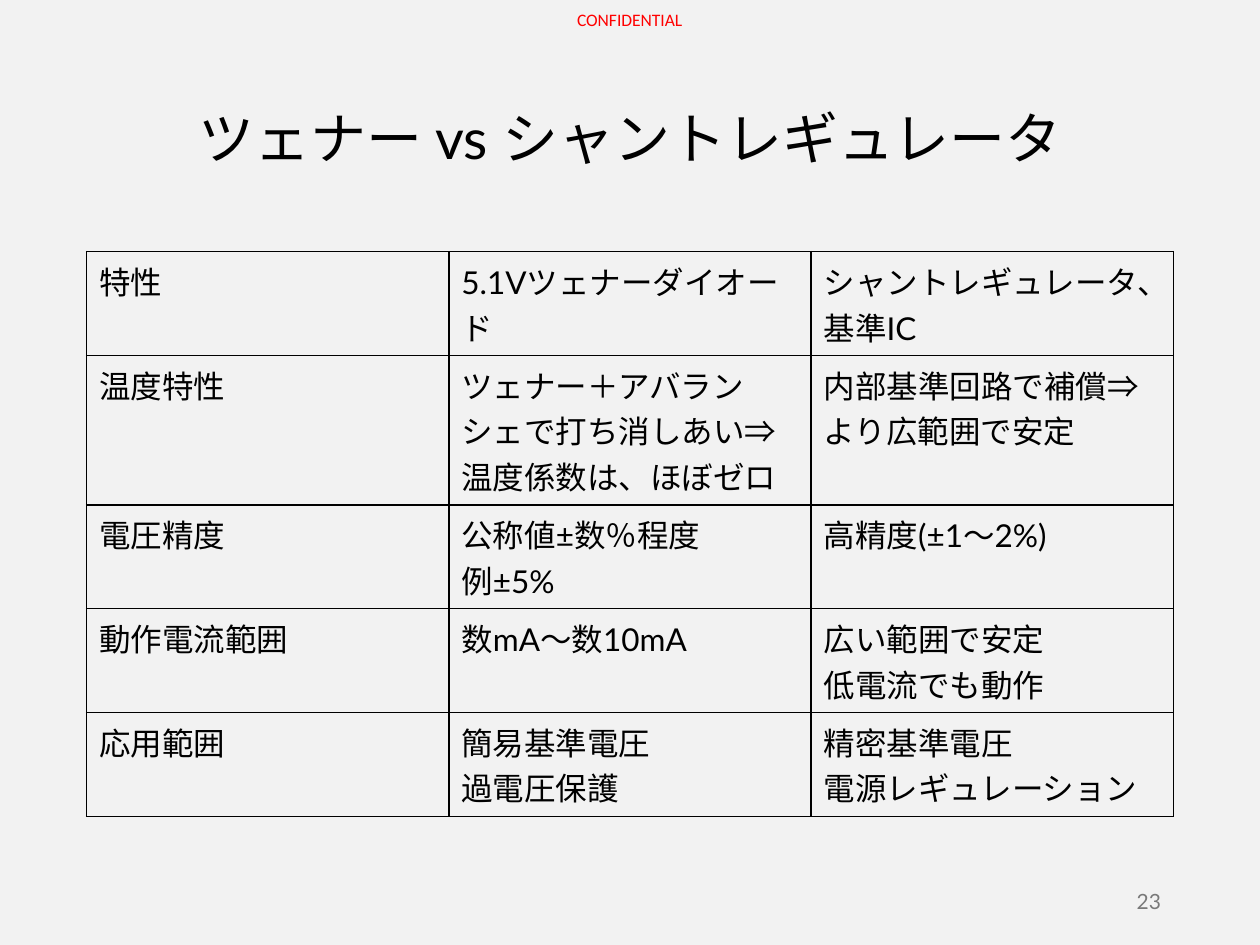
from dataclasses import dataclass

from lxml import etree
from pptx import Presentation
from pptx import util as u
from pptx.dml.color import RGBColor
from pptx.enum import text as t
from pptx.oxml import ns

HUES = {"back": "F2F2F2", "ink": "000000", "alert": "FF0000", "page": "797979"}
ROWS = [
    ("特性", "5.1Vツェナーダイオード", "シャントレギュレータ、基準IC"),
    ("温度特性", "ツェナー＋アバランシェで打ち消しあい⇒温度係数は、ほぼゼロ",
     "内部基準回路で補償⇒より広範囲で安定"),
    ("電圧精度", "公称値±数％程度\n例±5%", "高精度(±1～2%)"),
    ("動作電流範囲", "数mA～数10mA", "広い範囲で安定\n低電流でも動作"),
    ("応用範囲", "簡易基準電圧\n過電圧保護", "精密基準電圧\n電源レギュレーション"),
]
LEFT, WIDTH = 49.5, 621


@dataclass
class Style:
    size: float
    hue: str = "ink"
    face: str = "Lato"
    align: t.PP_ALIGN = t.PP_ALIGN.LEFT


@dataclass
class Label:
    words: str
    left: float
    top: float
    width: float
    height: float
    style: Style
    pad: tuple[float, float] = (7.2, 3.6)
    wrap: bool = True


LABELS = [
    Label("CONFIDENTIAL", 329.75, 5, 62.5, 12.2,
          Style(10, "alert", "Calibri"), (0, 0), False),
    Label("23", 508.5, 500.5, 162, 28.75,
          Style(12, "page", align=t.PP_ALIGN.RIGHT)),
]


def color(hue: str) -> RGBColor:
    return RGBColor.from_string(HUES[hue])


def write(frame, words: str, style: Style) -> None:
    for i, line in enumerate(words.split("\n")):
        para = frame.add_paragraph() if i else frame.paragraphs[0]
        para.alignment = style.align
        run = para.add_run()
        run.text = line
        run.font.size = u.Pt(style.size)
        run.font.name = style.face
        run.font.bold = False
        run.font.color.rgb = color(style.hue)


def place(shape, left: float, top: float, width: float, height: float) -> None:
    shape.left, shape.top = u.Pt(left), u.Pt(top)
    shape.width, shape.height = u.Pt(width), u.Pt(height)


def draw_label(slide, label: Label) -> None:
    spot = [u.Pt(n) for n in (label.left, label.top, label.width, label.height)]
    frame = slide.shapes.add_textbox(*spot).text_frame
    frame.word_wrap = label.wrap
    frame.vertical_anchor = t.MSO_ANCHOR.MIDDLE
    frame.margin_left = frame.margin_right = u.Pt(label.pad[0])
    frame.margin_top = frame.margin_bottom = u.Pt(label.pad[1])
    write(frame, label.words, label.style)


def edge(cell) -> None:
    props = cell._tc.get_or_add_tcPr()
    for i, side in enumerate("LRTB"):
        line = etree.Element(ns.qn(f"a:ln{side}"), w=str(u.Pt(1)))
        fill = etree.SubElement(line, ns.qn("a:solidFill"))
        etree.SubElement(fill, ns.qn("a:srgbClr"), val=HUES["ink"])
        props.insert(i, line)


def draw_table(slide, rows: list[tuple[str, ...]], style: Style) -> None:
    high = 29.2
    table = slide.shapes.add_table(
        len(rows), len(rows[0]), u.Pt(LEFT), u.Pt(143.75),
        u.Pt(WIDTH), u.Pt(high * len(rows))).table
    table.first_row = table.horz_banding = False
    for r, row in enumerate(rows):
        for c, words in enumerate(row):
            cell = table.cell(r, c)
            cell.fill.background()
            edge(cell)
            write(cell.text_frame, words, style)


def draw_title(slide, words: str) -> None:
    title = slide.shapes.title
    place(title, LEFT, 28.75, WIDTH, 104.4)
    frame = title.text_frame
    frame.auto_size = t.MSO_AUTO_SIZE.NONE
    frame.vertical_anchor = t.MSO_ANCHOR.MIDDLE
    write(frame, words, Style(32, align=t.PP_ALIGN.CENTER))
    frame.paragraphs[0].line_spacing = 0.9


def main() -> None:
    deck = Presentation()
    deck.slide_width, deck.slide_height = u.Pt(720), u.Pt(540)
    slide = deck.slides.add_slide(deck.slide_layouts[5])
    back = slide.background.fill
    back.solid()
    back.fore_color.rgb = color("back")
    draw_title(slide, "ツェナー vs シャントレギュレータ")
    draw_table(slide, ROWS, Style(18))
    for label in LABELS:
        draw_label(slide, label)
    deck.save("out.pptx")


if __name__ == "__main__":
    main()
